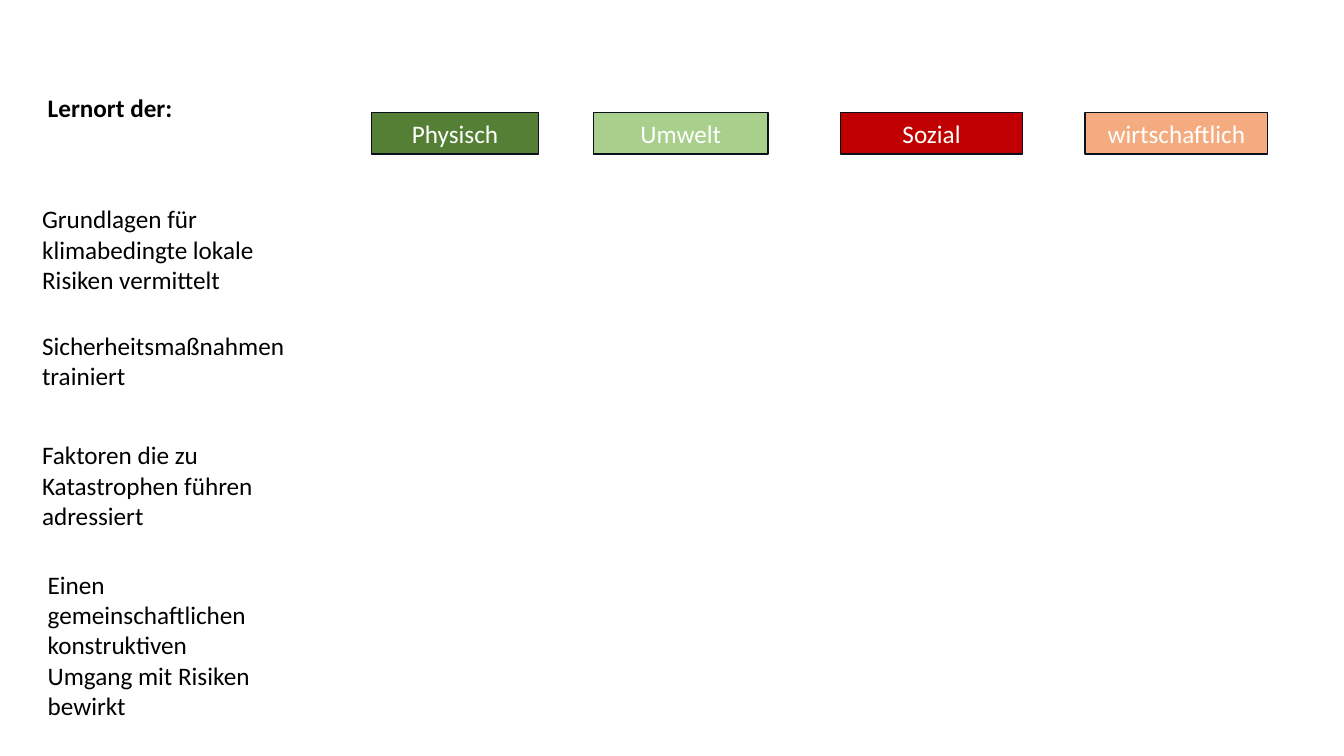
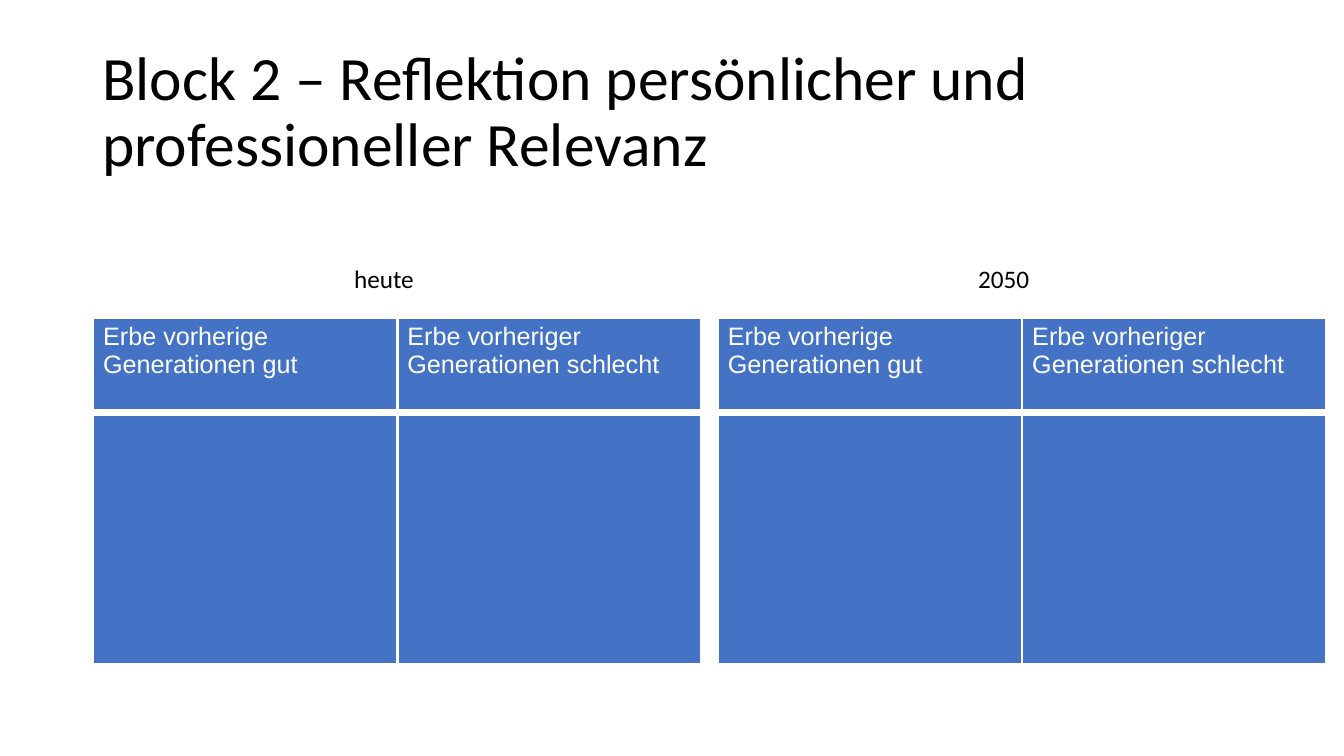
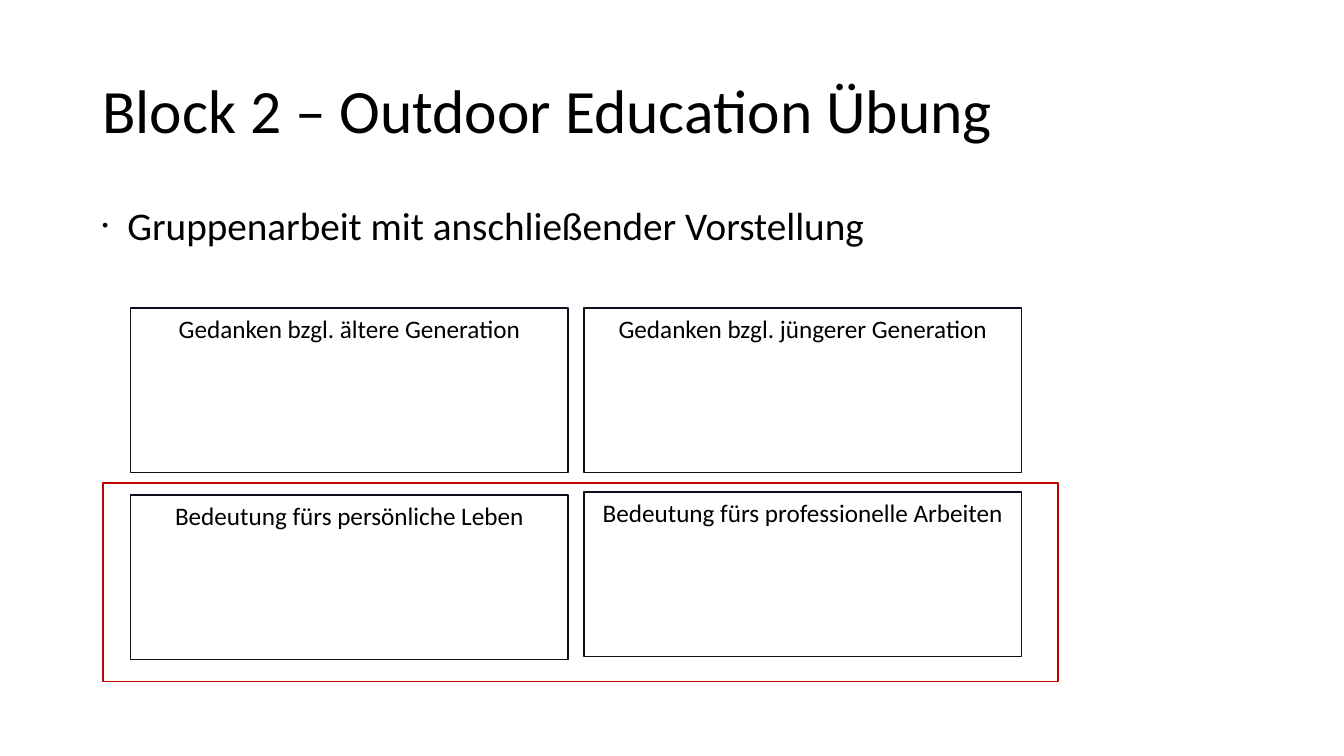
import pptx
import pptx.util
import pptx.dml.color
import pptx.enum.shapes
import pptx.enum.text
import pptx.oxml
import pptx.oxml.ns
from dataclasses import dataclass

Pt = pptx.util.Pt
ALIGN = pptx.enum.text.PP_ALIGN
ANCHOR = pptx.enum.text.MSO_ANCHOR


@dataclass(frozen=True)
class Theme:
    font: str = "Calibri"
    cellfont: str = "Arial"
    black: str = "000000"
    white: str = "FFFFFF"
    edge: str = "0A111D"
    red: str = "C00000"
    blue: str = "4472C4"
    green: str = "547F34"
    lime: str = "A8CF8B"
    peach: str = "F4AB7F"
    title: int = 44
    body: int = 28
    small: int = 18


T = Theme()

# Content: places are left, top, width, height in points
CHIPS = [
    ("Physisch", T.green, 265.5, 119.5),
    ("Umwelt", T.lime, 424, 125),
    ("Sozial", T.red, 600.5, 130.5),
    ("wirtschaftlich", T.peach, 775.5, 130.5),
]
CLAIMS = [
    ("Lernort der:", (27, 62.5, 170, 29), True),
    ("Grundlagen für klimabedingte lokale Risiken vermittelt",
     (23, 142, 178, 73), False),
    ("Sicherheitsmaßnahmen trainiert", (23, 232.5, 194, 51), False),
    ("Faktoren die zu Katastrophen führen adressiert",
     (23, 310.5, 186, 73), False),
    ("Einen gemeinschaftlichen konstruktiven Umgang mit Risiken bewirkt",
     (27, 403, 163, 117), False),
]
HEADS = ["Erbe vorherige Generationen gut",
         "Erbe vorheriger Generationen schlecht"]
ERAS = [("heute", 246), ("2050", 692)]
TASK = "Gruppenarbeit mit anschließender Vorstellung"
CARDS = [
    ("Gedanken bzgl. ältere Generation", 220),
    ("Gedanken bzgl. jüngerer Generation", 220),
    ("Bedeutung fürs persönliche Leben", 353.5),
    ("Bedeutung fürs professionelle Arbeiten", 351.5),
]
TITLES = ["Block 2 – Reflektion persönlicher und professioneller Relevanz",
          "Block 2 – Outdoor Education Übung"]


# Shared helpers
def rgb(hue):
    return pptx.dml.color.RGBColor.from_string(hue)


def write(frame, words, size=T.small, hue=T.black, font=T.font, bold=False,
          align=None, anchor=None, line=None, before=None, pad=None):
    """Put formatted words in a text frame and return the paragraph."""
    frame.word_wrap = True
    if anchor is not None:
        frame.vertical_anchor = anchor
    if pad:
        frame.margin_left = frame.margin_right = Pt(pad[0])
        frame.margin_top = frame.margin_bottom = Pt(pad[1])
    para = frame.paragraphs[0]
    para.alignment = align
    para.line_spacing = line
    if before is not None:
        para.space_before = Pt(before)
    run = para.add_run()
    run.text = words
    run.font.name = font
    run.font.size = Pt(size)
    run.font.bold = bold
    run.font.color.rgb = rgb(hue)
    return para


def note(slide, words, place, **form):
    box = slide.shapes.add_textbox(*map(Pt, place))
    return write(box.text_frame, words, **form)


def rect(slide, place, fill=None, edge=T.edge):
    kind = pptx.enum.shapes.MSO_SHAPE.RECTANGLE
    box = slide.shapes.add_shape(kind, *map(Pt, place))
    box.shadow.inherit = False
    if fill:
        box.fill.solid()
        box.fill.fore_color.rgb = rgb(fill)
    else:
        box.fill.background()
    box.line.color.rgb = rgb(edge)
    box.line.width = Pt(1)
    return box.text_frame


def head(slide, words):
    note(slide, words, (66, 29, 828, 104.5), size=T.title, line=0.9,
         anchor=ANCHOR.MIDDLE)


def dot(para):
    """Give a paragraph a small hanging bullet."""
    props = para._p.get_or_add_pPr()
    props.set("marL", str(Pt(18)))
    props.set("indent", str(-Pt(18)))
    space = pptx.oxml.ns.nsdecls("a")
    for part in (
            f'<a:buClr {space}><a:srgbClr val="{T.black}"/></a:buClr>',
            f'<a:buSzPct {space} val="45000"/>',
            f'<a:buFont {space} typeface="{T.cellfont}"/>',
            f'<a:buChar {space} char="•"/>'):
        props.append(pptx.oxml.parse_xml(part))


def border(cell, **sides):
    """Draw white cell borders; sides come in the order L, R, T, B."""
    props = cell._tc.get_or_add_tcPr()
    space = pptx.oxml.ns.nsdecls("a")
    for side, width in sides.items():
        props.append(pptx.oxml.parse_xml(
            f'<a:ln{side} {space} w="{Pt(width)}"><a:solidFill>'
            f'<a:srgbClr val="{T.white}"/></a:solidFill></a:ln{side}>'))


def grid(slide, left):
    """Two headed columns over one tall empty row."""
    wide, tall = 217.5, (67.5, 180)
    table = slide.shapes.add_table(
        2, 2, Pt(left), Pt(227), Pt(2 * wide), Pt(sum(tall))).table
    table.first_row = table.horz_banding = False
    for col in table.columns:
        col.width = Pt(wide)
    for r, row in enumerate(table.rows):
        row.height = Pt(tall[r])
        for c, cell in enumerate(row.cells):
            border(cell, L=2, R=2, T=6 if r else 2, B=2 if r else 6)
            cell.fill.solid()
            cell.fill.fore_color.rgb = rgb(T.blue)
            if r == 0:
                write(cell.text_frame, HEADS[c], hue=T.white,
                      font=T.cellfont)


# Slides
def places(slide):
    for words, fill, left, wide in CHIPS:
        write(rect(slide, (left, 80.5, wide, 29.5), fill), words,
              hue=T.white, align=ALIGN.CENTER, anchor=ANCHOR.MIDDLE,
              pad=(8, 4))
    for words, place, bold in CLAIMS:
        note(slide, words, place, bold=bold)


def legacy(slide):
    head(slide, TITLES[0])
    for i, (era, left) in enumerate(ERAS):
        grid(slide, 66.5 + 446.5 * i)
        note(slide, era, (left, 184.5, 202, 29))


def group(slide):
    head(slide, TITLES[1])
    dot(note(slide, TASK, (66, 144, 828, 343), size=T.body, line=0.9,
             before=10))
    wide, gap = 312.5, 11.5
    for i, (words, top) in enumerate(CARDS):
        left = 93.5 + i % 2 * (wide + gap)
        card = rect(slide, (left, top, wide, 117.5),
                    None if i else T.white)
        write(card, words, align=ALIGN.CENTER, anchor=ANCHOR.TOP,
              pad=(8, 4))
    rect(slide, (73.5, 345, 682.5, 142), edge=T.red)


def main():
    deck = pptx.Presentation()
    deck.slide_width, deck.slide_height = Pt(960.5), Pt(540)
    for build in (places, legacy, group):
        build(deck.slides.add_slide(deck.slide_layouts[6]))
    deck.save("out.pptx")


if __name__ == "__main__":
    main()
